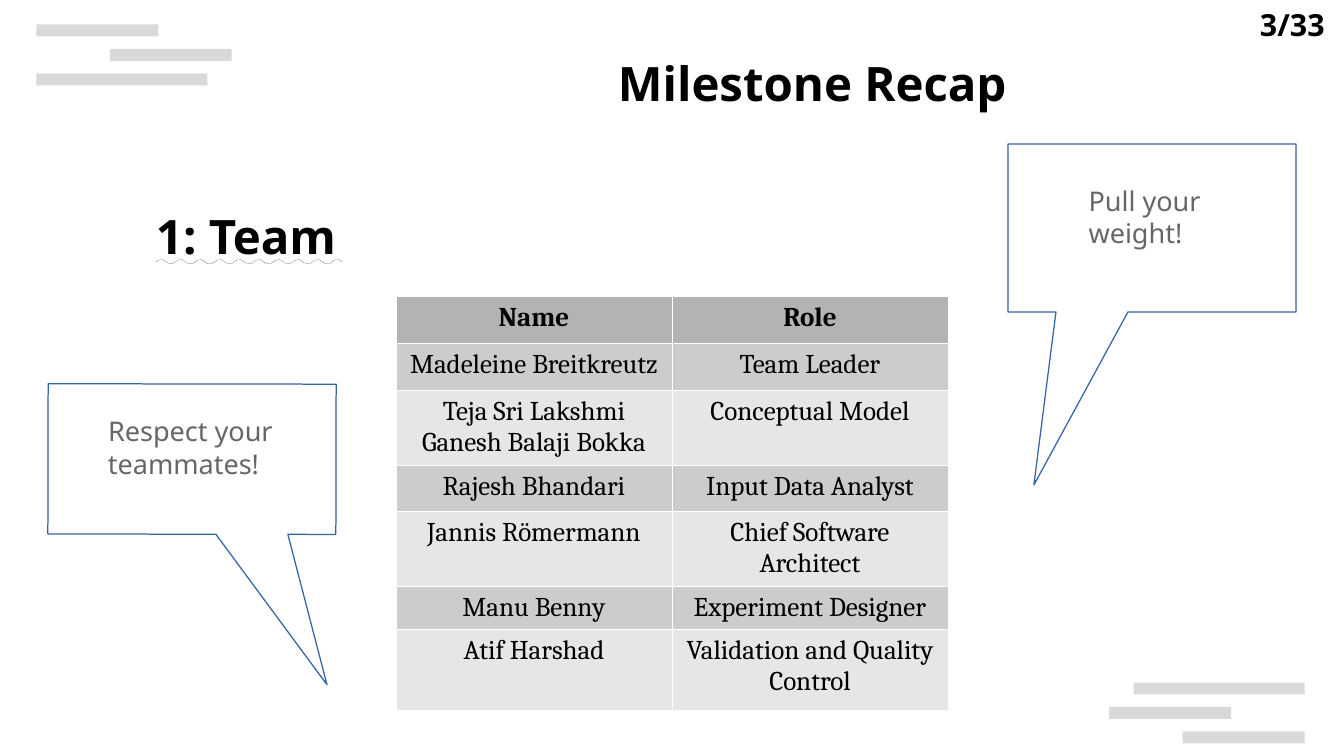
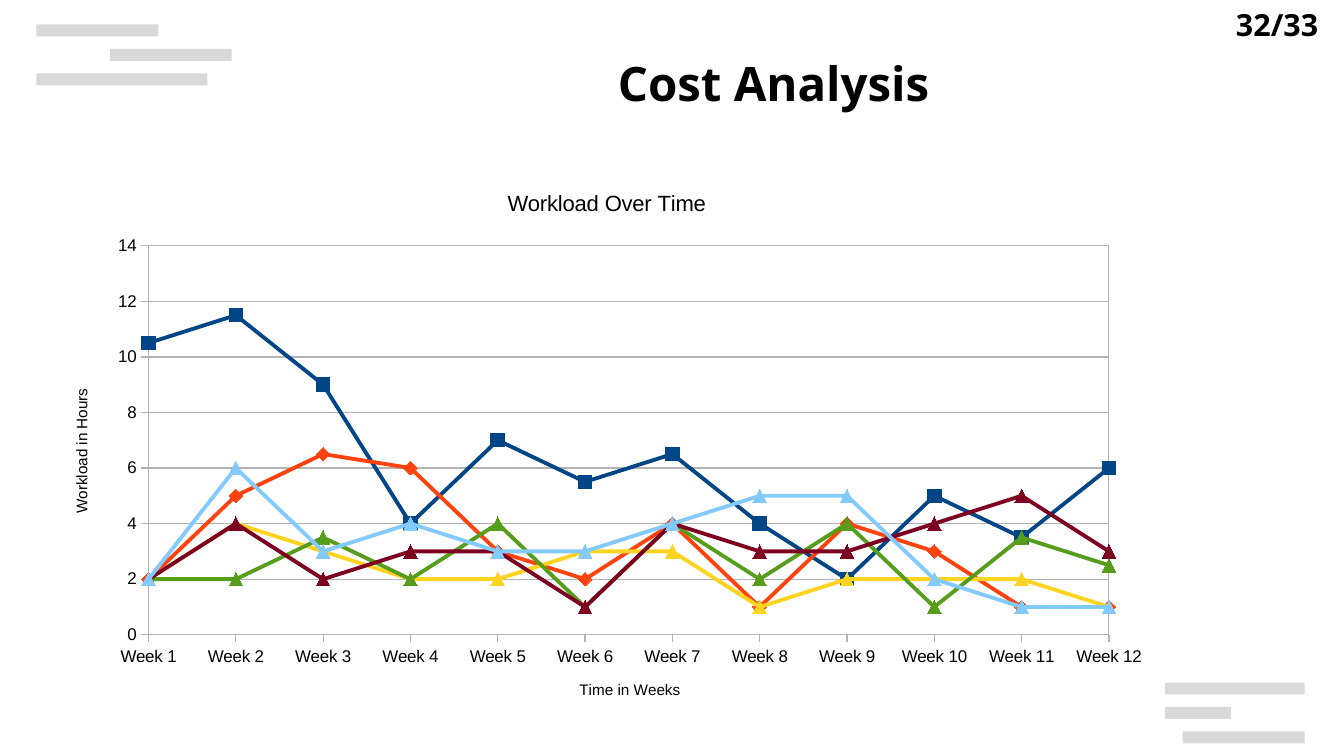
from lxml.etree import SubElement
from pptx import Presentation
from pptx.chart.data import CategoryChartData
from pptx.dml.color import RGBColor
from pptx.enum.chart import XL_CHART_TYPE, XL_MARKER_STYLE, XL_TICK_MARK
from pptx.enum.shapes import MSO_SHAPE
from pptx.enum.text import MSO_ANCHOR, MSO_AUTO_SIZE, MSO_UNDERLINE, PP_ALIGN
from pptx.oxml import parse_xml
from pptx.oxml.ns import nsdecls, qn
from pptx.util import Cm, Pt

HUES = {
    "ink": "000000", "text": "666666", "white": "FFFFFF", "bar": "D9D9D9",
    "edge": "3465A4", "grid": "B3B3B3", "head": "B3B3B3",
    "dark": "CCCCCC", "pale": "E6E6E6",
    "navy": "004586", "red": "FF420E", "gold": "FFD320",
    "green": "579D1C", "wine": "7E0021", "sky": "83CAFF",
}
FONTS = {
    "title": {"name": "Noto Sans", "size": Pt(28), "bold": True, "hue": "ink"},
    "topic": {"name": "Noto Sans", "size": Pt(28), "bold": True, "hue": "ink",
              "underline": MSO_UNDERLINE.WAVY_LINE},
    "page": {"name": "Noto Sans", "size": Pt(18), "bold": True, "hue": "ink"},
    "note": {"name": "Noto Sans", "size": Pt(16), "bold": False, "hue": "text"},
    "head": {"name": "Cambria", "size": Pt(16), "bold": True, "hue": "ink"},
    "cell": {"name": "Cambria", "size": Pt(16), "bold": False, "hue": "ink"},
    "chart": {"name": "Arial", "size": Pt(10), "bold": False, "hue": "ink"},
    "axis": {"name": "Arial", "size": Pt(9), "bold": False, "hue": "ink"},
    "name": {"name": "Arial", "size": Pt(13), "bold": False, "hue": "ink"},
}
FRAME = {"word_wrap": True, "auto_size": MSO_AUTO_SIZE.NONE,
         "vertical_anchor": MSO_ANCHOR.TOP}
PITCH = 0.51
BARS = [(0.76, 2.54), (2.29, 2.54), (0.76, 3.56),
        (23.62, 3.56), (23.11, 2.54), (24.64, 2.54)]
TEAM = [
    ("Name", "Role"),
    ("Madeleine Breitkreutz", "Team Leader"),
    ("Teja Sri Lakshmi Ganesh Balaji Bokka", "Conceptual Model"),
    ("Rajesh Bhandari", "Input Data Analyst"),
    ("Jannis Römermann", "Chief Software Architect"),
    ("Manu Benny", "Experiment Designer"),
    ("Atif Harshad", "Validation and Quality Control"),
]
ROWS = [0.97, 0.99, 1.52, 0.97, 1.52, 0.89, 1.68]
LOADS = [
    ("navy", "SQUARE", [10.5, 11.5, 9, 4, 7, 5.5, 6.5, 4, 2, 5, 3.5, 6]),
    ("red", "DIAMOND", [2, 5, 6.5, 6, 3, 2, 4, 1, 4, 3, 1, 1]),
    ("gold", "TRIANGLE", [2, 4, 3, 2, 2, 3, 3, 1, 2, 2, 2, 1]),
    ("green", "TRIANGLE", [2, 2, 3.5, 2, 4, 1, 4, 2, 4, 1, 3.5, 2.5]),
    ("wine", "TRIANGLE", [2, 4, 2, 3, 3, 1, 4, 3, 3, 4, 5, 3]),
    ("sky", "TRIANGLE", [2, 6, 3, 4, 3, 3, 4, 5, 5, 2, 1, 1]),
]


def put(thing, values):
    for key, value in values.items():
        setattr(thing, key, value)


def tint(hue):
    return RGBColor.from_string(HUES[hue])


def paint(fill, hue):
    fill.solid()
    fill.fore_color.rgb = tint(hue)


def ink(font, kind):
    put(font, {key: val for key, val in FONTS[kind].items() if key != "hue"})
    font.color.rgb = tint(FONTS[kind]["hue"])


class Deck:
    def __init__(self):
        self.file = Presentation()
        put(self.file, {"slide_width": Cm(28), "slide_height": Cm(15.75)})
        self.base = self.file.slide_layouts[5]
        self.page = None

    def start(self, title, number, left):
        self.page = self.file.slides.add_slide(self.base)
        head = self.page.shapes.title
        put(head, {"left": Cm(12.62), "top": Cm(1),
                   "width": Cm(13.36), "height": Cm(2.95)})
        self.say(head.text_frame, title, "title")
        self.label(number, "page", left, 0, 28 - left, 1.12)

    def say(self, frame, text, kind, align=PP_ALIGN.LEFT):
        put(frame, FRAME)
        frame.text = text
        for para in frame.paragraphs:
            para.alignment = align
            for run in para.runs:
                ink(run.font, kind)

    def label(self, text, kind, *box):
        frame = self.page.shapes.add_textbox(*map(Cm, box)).text_frame
        self.say(frame, text, kind)
        frame.margin_right = 0

    def shape(self, form, hue, *box):
        item = self.page.shapes.add_shape(form, *map(Cm, box))
        item.shadow.inherit = False
        paint(item.fill, hue)
        item.line.fill.background()
        return item

    def bars(self):
        for step, (left, width) in enumerate(BARS):
            top = PITCH * (step + 1) if step < 3 else 14.22 + PITCH * (step - 3)
            bar = self.shape(MSO_SHAPE.RECTANGLE, "bar", left, top, width, 0.25)
            bar.element.nvSpPr.cNvPr.set("id", str(20 + step))
            self.base.shapes.element.append(bar.element)

    def bubble(self, text, box, tip, inset, turn=0):
        item = self.shape(MSO_SHAPE.RECTANGULAR_CALLOUT, "white", *box)
        item.adjustments[0], item.adjustments[1] = tip
        item.rotation = turn
        item.line.color.rgb = tint("edge")
        item.line.width = 0
        self.say(item.text_frame, text, "note")
        sides = ("margin_left", "margin_top", "margin_right")
        put(item.text_frame, dict(zip(sides, map(Cm, inset))))

    def table(self, data, rows, left, top, width):
        count = len(data[0])
        grid = self.page.shapes.add_table(
            len(data), count, *map(Cm, (left, top, width, sum(rows)))).table
        for col in grid.columns:
            col.width = Cm(width / count)
        for row, (line, high) in enumerate(zip(data, rows)):
            grid.rows[row].height = Cm(high)
            hue = ("dark" if row % 2 else "pale") if row else "head"
            for col, text in enumerate(line):
                cell = grid.cell(row, col)
                cell.text = text
                para = cell.text_frame.paragraphs[0]
                para.alignment = PP_ALIGN.CENTER
                ink(para.runs[0].font, "cell" if row else "head")
                paint(cell.fill, hue)
                self.edge(cell)

    def edge(self, cell):
        props = cell._tc.get_or_add_tcPr()
        for spot, side in enumerate("LRTB"):
            props.insert(spot, parse_xml(
                f'<a:ln{side} {nsdecls("a")} w="762"><a:solidFill>'
                f'<a:srgbClr val="{HUES["white"]}"/></a:solidFill></a:ln{side}>'))

    def chart(self, title, names, loads, *box):
        data = CategoryChartData()
        data.categories = names
        for step, load in enumerate(loads, 1):
            data.add_series(f"Series {step}", load[2])
        chart = self.page.shapes.add_chart(
            XL_CHART_TYPE.LINE_MARKERS, *map(Cm, box), data).chart
        put(chart, {"has_legend": False, "has_title": True})
        ink(chart.font, "chart")
        self.say(chart.chart_title.text_frame, title, "name", PP_ALIGN.CENTER)
        chart.plots[0].vary_by_categories = False
        for line, (hue, mark, _) in zip(chart.plots[0].series, loads):
            line.smooth = False
            line.format.line.width = Pt(2.27)
            line.format.line.color.rgb = tint(hue)
            put(line.marker, {"style": XL_MARKER_STYLE[mark], "size": 8})
            paint(line.marker.format.fill, hue)
            line.marker.format.line.color.rgb = tint(hue)
        return chart

    def axis(self, axis, title, values):
        put(axis, {"major_tick_mark": XL_TICK_MARK.OUTSIDE, "has_title": True,
                   "minor_tick_mark": XL_TICK_MARK.NONE, **values})
        ink(axis.tick_labels.font, "chart")
        lines = [axis.format.line]
        if axis.has_major_gridlines:
            lines.append(axis.major_gridlines.format.line)
        for line in lines:
            line.color.rgb = tint("grid")
            line.width = 0
        self.say(axis.axis_title.text_frame, title, "axis", PP_ALIGN.CENTER)

    def plot(self, chart, spot):
        area = chart.element.find(".//" + qn("c:plotArea"))
        for old in area.findall(qn("c:layout")):
            area.remove(old)
        place = parse_xml(f'<c:layout {nsdecls("c")}><c:manualLayout>'
                          '<c:layoutTarget val="inner"/><c:xMode val="edge"/>'
                          '<c:yMode val="edge"/></c:manualLayout></c:layout>')
        for key, value in spot.items():
            SubElement(place[0], qn("c:" + key)).set("val", str(value))
        area.insert(0, place)
        area.append(parse_xml(
            f'<c:spPr {nsdecls("c", "a")}><a:noFill/><a:ln w="0"><a:solidFill>'
            f'<a:srgbClr val="{HUES["grid"]}"/></a:solidFill></a:ln></c:spPr>'))
        chart.element.find(qn("c:chart")).addnext(parse_xml(
            f'<c:spPr {nsdecls("c", "a")}><a:solidFill>'
            f'<a:srgbClr val="{HUES["white"]}"/></a:solidFill>'
            '<a:ln><a:noFill/></a:ln></c:spPr>'))
        scale = area.find(qn("c:valAx"))
        for old in scale.findall(qn("c:crossBetween")):
            scale.remove(old)
        scale.find(qn("c:crosses")).addnext(parse_xml(
            f'<c:crossBetween {nsdecls("c")} val="midCat"/>'))
        body = scale.find(qn("c:title")).find(".//" + qn("a:bodyPr"))
        body.set("rot", "-5400000")
        body.set("vert", "horz")


def team(deck):
    deck.start("Milestone Recap", "3/33", 26)
    deck.bars()
    deck.label("1: Team", "topic", 3, 4.19, 10.41, 2.18)
    deck.table(TEAM, ROWS, 8.25, 6.17, 11.5)
    deck.bubble("Pull your weight!", (21, 3, 6, 3.5),
                (-0.41, 1.53), (1.68, 0.84, 0.74))
    deck.bubble("Respect your\nteammates!", (1, 8, 6, 3.13),
                (0.47, 1.5), (1.25, 0.64, 0.5), 0.1)


def cost(deck):
    deck.start("Cost Analysis", "32/33", 25.5)
    weeks = [f"Week {week}" for week in range(1, 13)]
    chart = deck.chart("Workload Over Time", weeks, LOADS, 1, 3.5, 23.27, 11.58)
    deck.axis(chart.category_axis, "Time in Weeks", {"has_major_gridlines": False})
    deck.axis(chart.value_axis, "Workload in Hours",
              {"has_major_gridlines": True, "minimum_scale": 0,
               "maximum_scale": 14, "major_unit": 2})
    deck.plot(chart, {"x": 0.09, "y": 0.14, "w": 0.86, "h": 0.7})


def main():
    deck = Deck()
    team(deck)
    cost(deck)
    deck.file.save("out.pptx")


if __name__ == "__main__":
    main()
